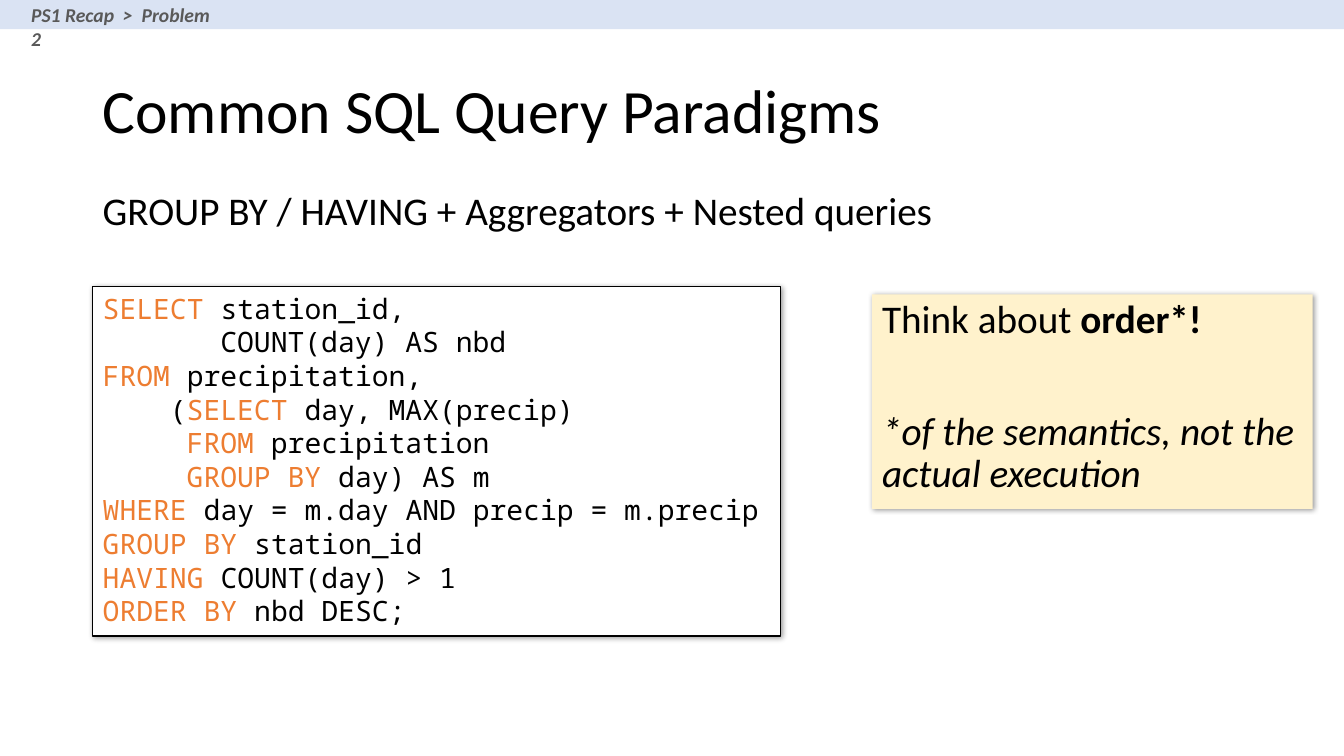
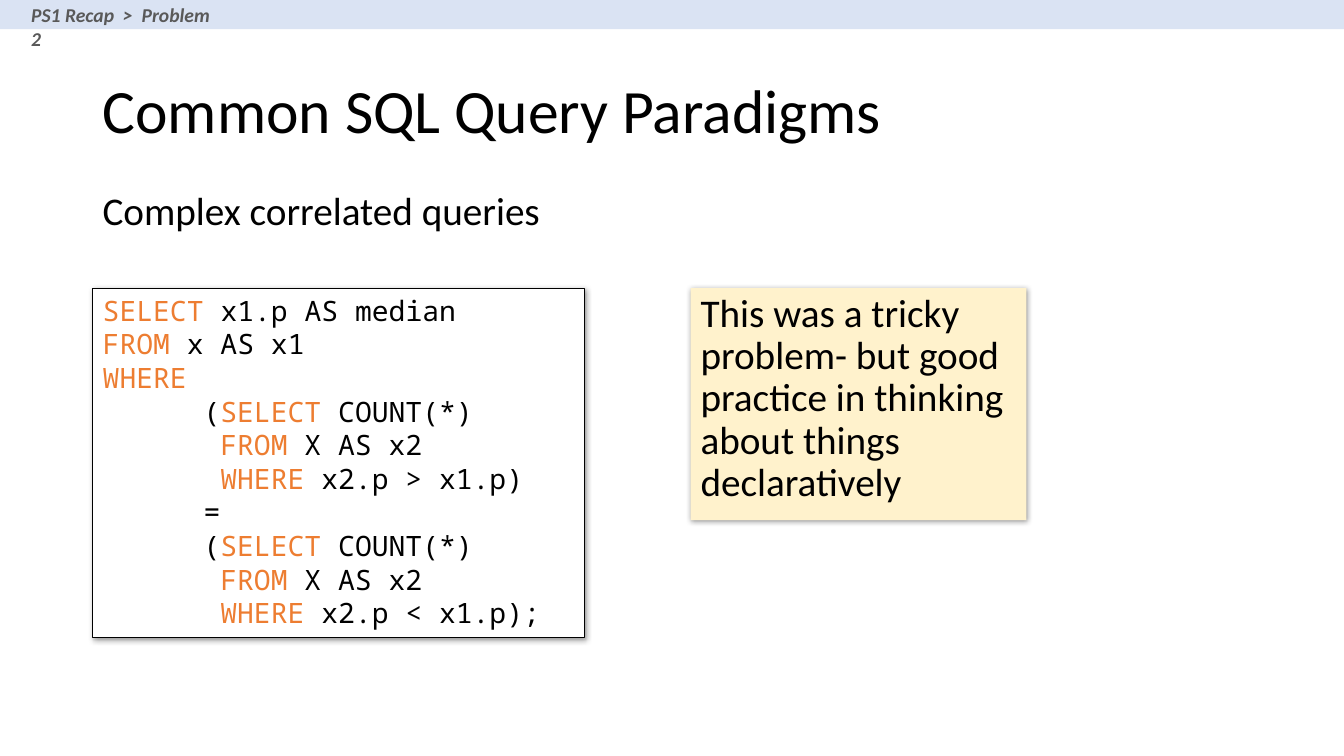
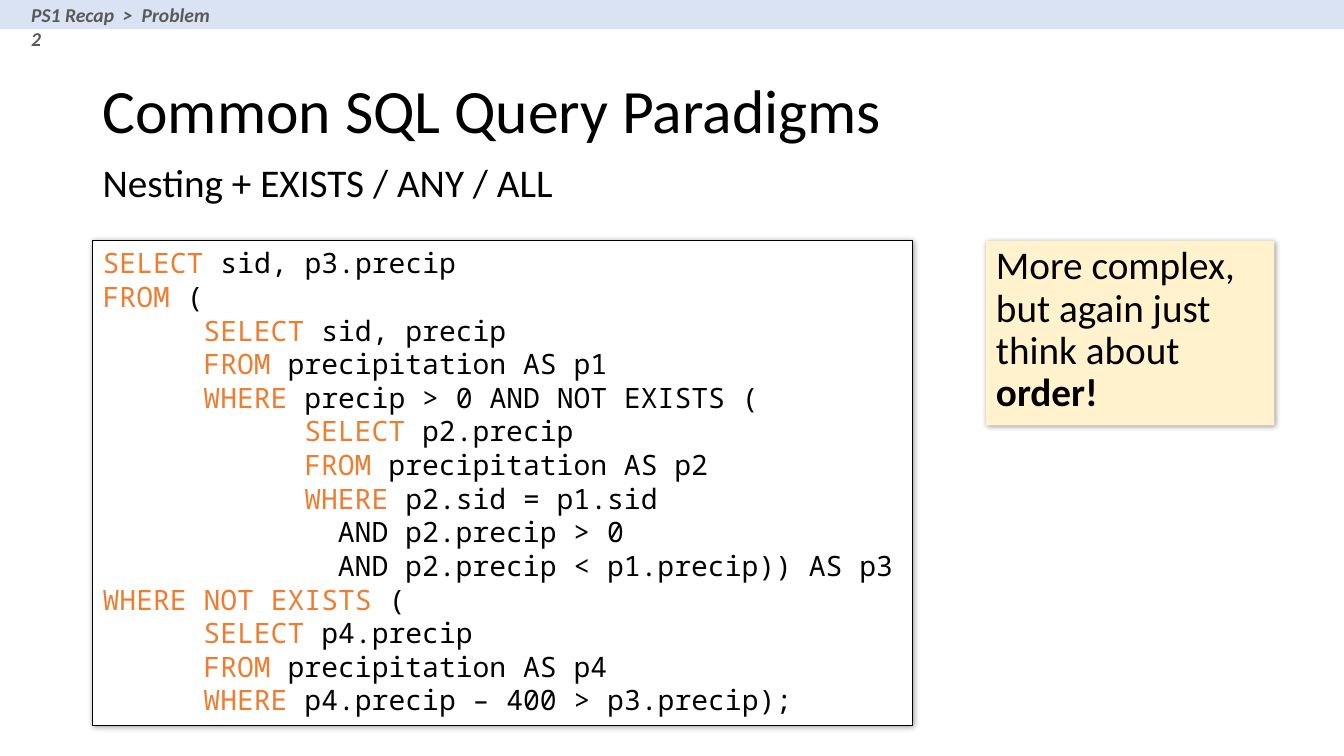
from lxml.etree import SubElement
from pptx import Presentation
from pptx.dml.color import RGBColor
from pptx.enum.shapes import MSO_SHAPE
from pptx.enum.text import MSO_ANCHOR, PP_ALIGN
from pptx.oxml.ns import qn
from pptx.util import Pt

PX = 9144
COLORS = {
    "text": "000000",
    "crumb": "595959",
    "band": "DAE3F3",
    "code": "FFFFFF",
    "keyword": "ED7D31",
    "note": "FFF2CC",
}
KEYWORDS = ["SELECT", "FROM", "WHERE NOT EXISTS", "WHERE", "GROUP BY", "HAVING", "ORDER BY"]
CODE_SIZE = 20
CODE_COLUMN = Pt(CODE_SIZE * 0.6)

SLIDES = [
    {
        "topic": "GROUP BY / HAVING + Aggregators + Nested queries",
        "topic_top": 185,
        "code_place": (92, 284, 682, 347),
        "code": """SELECT station_id,
       COUNT(day) AS nbd
FROM precipitation,
    (SELECT day, MAX(precip)
     FROM precipitation
     GROUP BY day) AS m
WHERE day = m.day AND precip = m.precip
GROUP BY station_id
HAVING COUNT(day) > 1
ORDER BY nbd DESC;""",
        "note_place": (865, 292, 437, 213),
        "note": [
            [("Think about ", ""), ("order*!", "bold")],
            [("*of the semantics, not the actual execution", "italic")],
        ],
    },
    {
        "topic": "Complex correlated queries",
        "topic_top": 185,
        "code_place": (92, 286, 488, 347),
        "code": """SELECT x1.p AS median
FROM x AS x1
WHERE
      (SELECT COUNT(*)
       FROM X AS x2
       WHERE x2.p > x1.p)
      =
      (SELECT COUNT(*)
       FROM X AS x2
       WHERE x2.p < x1.p);""",
        "note_place": (685, 286, 333, 230),
        "note": [
            [("This was a tricky problem- but good practice in thinking about things declaratively", "")],
        ],
    },
    {
        "topic": "Nesting + EXISTS / ANY / ALL",
        "topic_top": 157,
        "code_place": (92, 239, 813, 481),
        "code": """SELECT sid, p3.precip
FROM (
      SELECT sid, precip
      FROM precipitation AS p1
      WHERE precip > 0 AND NOT EXISTS (
            SELECT p2.precip
            FROM precipitation AS p2
            WHERE p2.sid = p1.sid
              AND p2.precip > 0
              AND p2.precip < p1.precip)) AS p3
WHERE NOT EXISTS (
      SELECT p4.precip
      FROM precipitation AS p4
      WHERE p4.precip – 400 > p3.precip);""",
        "note_place": (978, 239, 286, 183),
        "note": [
            [("More complex, but again just think about ", ""), ("order!", "bold")],
        ],
    },
]


def add_box(page, place, fill=None, shadow=False):
    place = [length * PX for length in place]
    if fill:
        box = page.shapes.add_shape(MSO_SHAPE.RECTANGLE, *place)
        box.shadow.inherit = False
        box.fill.solid()
        box.fill.fore_color.rgb = RGBColor.from_string(COLORS[fill])
        box.line.fill.background()
    else:
        box = page.shapes.add_textbox(*place)
    if shadow:
        effects = box._element.spPr.find(qn("a:effectLst"))
        outer = SubElement(effects, qn("a:outerShdw"), blurRad=str(Pt(4)), dist=str(Pt(1)),
                           dir="2700000", algn="tl", rotWithShape="0")
        black = SubElement(outer, qn("a:srgbClr"), val=COLORS["text"])
        SubElement(black, qn("a:alpha"), val="40000")
    box.text_frame.word_wrap = True
    box.text_frame.vertical_anchor = MSO_ANCHOR.TOP
    return box


def add_para(box, index, spans, size, font="Calibri", color="text", spacing=0.9):
    frame = box.text_frame
    para = frame.add_paragraph() if index else frame.paragraphs[0]
    para.alignment = PP_ALIGN.LEFT
    para.line_spacing = spacing
    para.font.name = font
    para.font.size = Pt(size)
    para.font.color.rgb = RGBColor.from_string(COLORS[color])
    for text, style in spans:
        if not text:
            continue
        span = para.add_run()
        span.text = text
        span.font.name = font
        span.font.size = Pt(size)
        span.font.color.rgb = RGBColor.from_string(COLORS["keyword" if style == "keyword" else color])
        if "bold" in style:
            span.font.bold = True
        if "italic" in style:
            span.font.italic = True
    return para


deck = Presentation()
deck.slide_width = 1333 * PX
deck.slide_height = 750 * PX

for content in SLIDES:
    page = deck.slides.add_slide(deck.slide_layouts[6])

    title = add_box(page, (92, 40, 1150, 145))
    title.text_frame.vertical_anchor = MSO_ANCHOR.MIDDLE
    add_para(title, 0, [("Common SQL Query Paradigms", "")], 44)

    topic = add_box(page, (92, content["topic_top"], 1150, 56))
    add_para(topic, 0, [(content["topic"], "")], 28)

    add_box(page, (0, 0, 1333, 29), "band")
    crumb = add_box(page, (21, -2, 208, 34))
    add_para(crumb, 0, [("PS1 Recap  >  Problem 2", "bold italic")], 14, color="crumb", spacing=1.0)

    code = add_box(page, content["code_place"], "code", shadow=True)
    code.line.color.rgb = RGBColor.from_string(COLORS["text"])
    code.line.width = Pt(0.75)
    for index, line in enumerate(content["code"].splitlines()):
        statement = line.lstrip(" ")
        opening = "(" if statement.startswith("(") else ""
        body = statement[len(opening):]
        keyword = next((word for word in KEYWORDS if body.startswith(word)), "")
        spans = [(opening, ""), (keyword, "keyword"), (body[len(keyword):], "")]
        para = add_para(code, index, spans, CODE_SIZE, "Noto Sans Mono", spacing=1.0)
        indent = (len(line) - len(statement)) * CODE_COLUMN
        para._p.get_or_add_pPr().set("marL", str(indent))

    note = add_box(page, content["note_place"], "note", shadow=True)
    for index, spans in enumerate(content["note"]):
        para = add_para(note, index, spans, 28)
        para.space_before = Pt(50 if index else 0)

deck.save("out.pptx")
